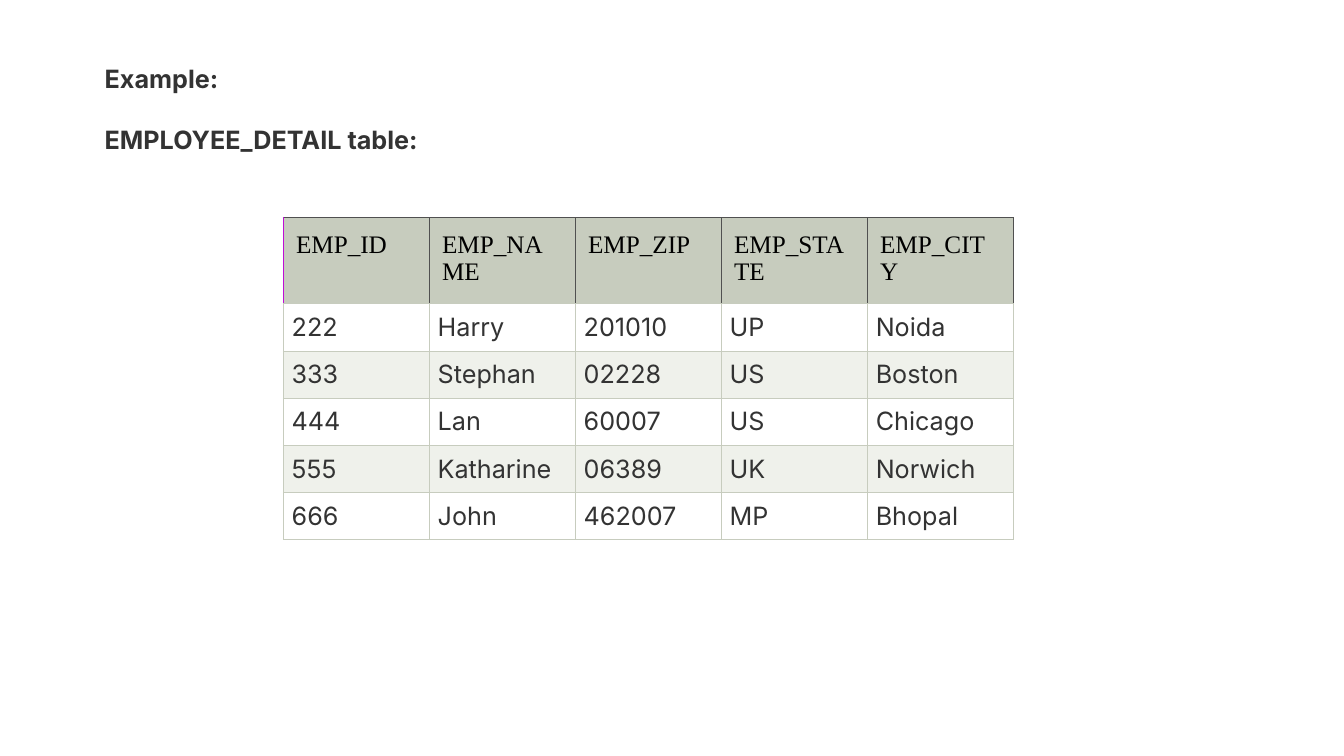
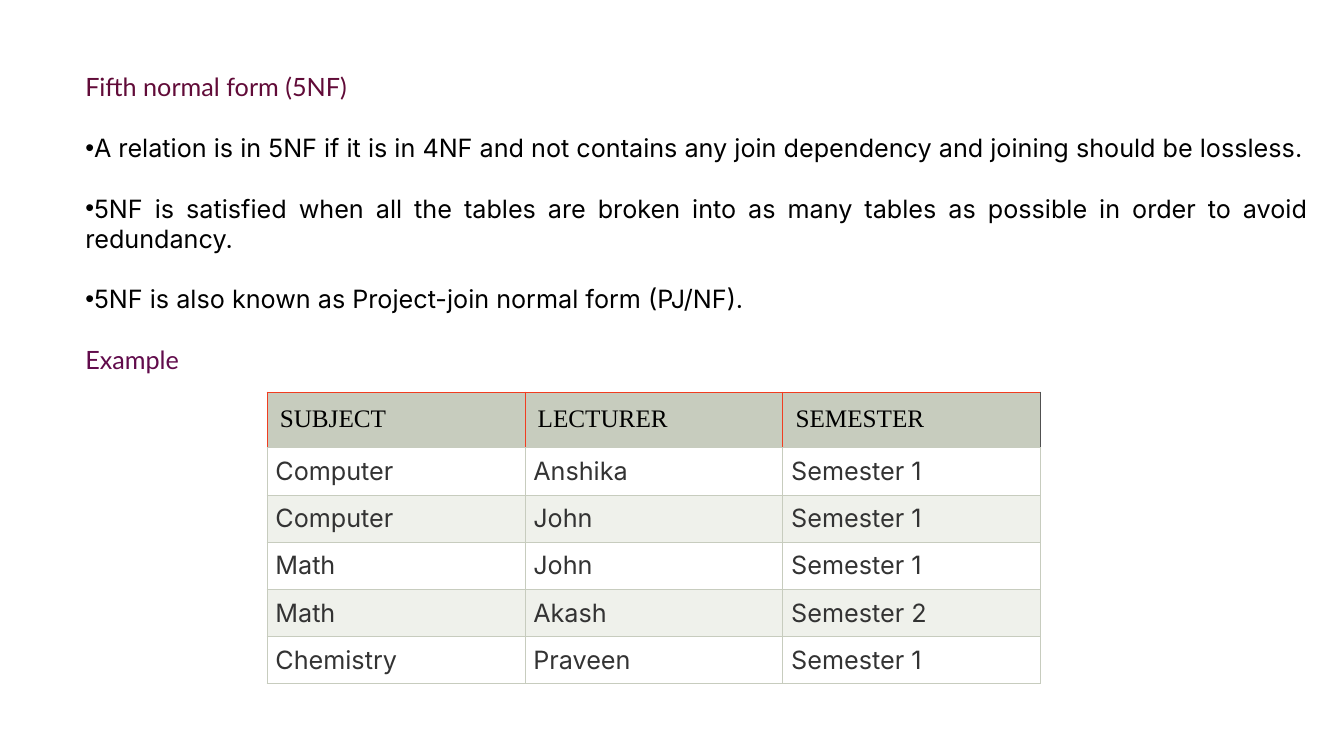
"""Build two slides on database normal forms: a text block above a table on each."""
from lxml.etree import SubElement
from pptx import Presentation
from pptx.dml.color import RGBColor
from pptx.enum.text import MSO_AUTO_SIZE, PP_ALIGN
from pptx.oxml.ns import qn
from pptx.util import Cm, Pt

SAGE, PALE, WHITE = "C7CCBE", "EFF1EB", "FFFFFF"
GREY, BLACK, SLATE = "333333", "000000", "505050"
MAGENTA, RED = "C00DD7", "F03D21"

LABEL = {"name": "Inter", "size": Pt(18), "bold": True, "color": GREY}
TOPIC = {"name": "Lato", "size": Pt(18), "bold": False, "color": "610B38"}
EXAMPLE = {**TOPIC, "color": "610B4B"}
POINT = {"name": "Inter", "size": Pt(18), "bold": False, "color": BLACK}
VALUE = {**POINT, "color": GREY}
HEADING = {**POINT, "name": "Times New Roman"}
MARGINS = ("margin_left", "margin_top", "margin_right", "margin_bottom")

SLIDES = [
    {
        "text_box": (2.39, 1.47, 16.94, 2.57),
        "lines": [("Example:", LABEL), ("EMPLOYEE_DETAIL table:", LABEL)],
        "table_at": (7.14, 5.49),
        "column_width": 3.68,
        "heading_height": 2.16,
        "edges": {"left": MAGENTA, "top": SLATE, "inner": SLATE, "right": SLATE},
        "rows": [
            ("EMP_ID", "EMP_NAME", "EMP_ZIP", "EMP_STATE", "EMP_CITY"),
            ("222", "Harry", "201010", "UP", "Noida"),
            ("333", "Stephan", "02228", "US", "Boston"),
            ("444", "Lan", "60007", "US", "Chicago"),
            ("555", "Katharine", "06389", "UK", "Norwich"),
            ("666", "John", "462007", "MP", "Bhopal"),
        ],
    },
    {
        "text_box": (1.9, 1.68, 31.32, 7.19),
        "lines": [
            ("Fifth normal form (5NF)", TOPIC),
            ("A relation is in 5NF if it is in 4NF and not contains any join "
             "dependency and joining should be lossless.", POINT),
            ("5NF is satisfied when all the tables are broken into as many tables "
             "as possible in order to avoid redundancy.", POINT),
            ("5NF is also known as Project-join normal form (PJ/NF).", POINT),
            ("Example", EXAMPLE),
        ],
        "table_at": (6.73, 9.88),
        "column_width": 6.5,
        "heading_height": 1.38,
        "edges": {"left": RED, "top": RED, "inner": RED, "right": SLATE},
        "rows": [
            ("SUBJECT", "LECTURER", "SEMESTER"),
            ("Computer", "Anshika", "Semester 1"),
            ("Computer", "John", "Semester 1"),
            ("Math", "John", "Semester 1"),
            ("Math", "Akash", "Semester 2"),
            ("Chemistry", "Praveen", "Semester 1"),
        ],
    },
]
VALUE_HEIGHT = 1.19


def write(paragraph, text, look):
    """Add text to a paragraph in the given look."""
    run = paragraph.add_run()
    run.text = text
    for attribute, value in look.items():
        if attribute == "color":
            run.font.color.rgb = RGBColor.from_string(value)
        else:
            setattr(run.font, attribute, value)


def draw_borders(cell, colors):
    """Draw the left, right, top and bottom borders of a cell."""
    for side, color in zip("LRTB", colors):
        line = SubElement(cell._tc.get_or_add_tcPr(), qn(f"a:ln{side}"), w=str(Pt(0.75)))
        SubElement(SubElement(line, qn("a:solidFill")), qn("a:srgbClr"), val=color)


prs = Presentation()
prs.slide_width, prs.slide_height = Cm(33.87), Cm(19.05)

for content in SLIDES:
    slide = prs.slides.add_slide(prs.slide_layouts[6])

    frame = slide.shapes.add_textbox(*map(Cm, content["text_box"])).text_frame
    frame.word_wrap = True
    frame.auto_size = MSO_AUTO_SIZE.SHAPE_TO_FIT_TEXT
    for index, (text, look) in enumerate(content["lines"]):
        paragraph = frame.add_paragraph() if index else frame.paragraphs[0]
        paragraph.alignment = PP_ALIGN.JUSTIFY
        if index:
            paragraph.space_before = Pt(21.7)
        if look is POINT:
            properties = paragraph._p.get_or_add_pPr()
            properties.set("marL", "0")
            properties.set("indent", "0")
            SubElement(properties, qn("a:buFont"), typeface="Arial")
            SubElement(properties, qn("a:buChar"), char="•")
        write(paragraph, text, look)

    rows, edges = content["rows"], content["edges"]
    last = len(rows[0]) - 1
    heights = [content["heading_height"]] + [VALUE_HEIGHT] * (len(rows) - 1)
    size = (content["column_width"] * len(rows[0]), sum(heights))
    table = slide.shapes.add_table(
        len(rows), len(rows[0]), *map(Cm, content["table_at"] + size)).table
    table.first_row = table.horz_banding = False
    for column in table.columns:
        column.width = Cm(content["column_width"])

    for r, (values, height) in enumerate(zip(rows, heights)):
        table.rows[r].height = Cm(height)
        for c, text in enumerate(values):
            cell = table.cell(r, c)
            paragraph = cell.text_frame.paragraphs[0]
            if r == 0:
                left = edges["inner"] if c else edges["left"]
                right = edges["right"] if c == last else edges["inner"]
                look, fill, margin = HEADING, SAGE, 0.32
                borders = (left, right, edges["top"], SAGE)
            else:
                look, fill, margin = VALUE, WHITE if r % 2 else PALE, 0.21
                borders = (SAGE,) * 4
                paragraph.alignment = PP_ALIGN.JUSTIFY
            write(paragraph, text, look)
            for side in MARGINS:
                setattr(cell, side, Cm(margin))
            draw_borders(cell, borders)
            cell.fill.solid()
            cell.fill.fore_color.rgb = RGBColor.from_string(fill)

prs.save("out.pptx")
